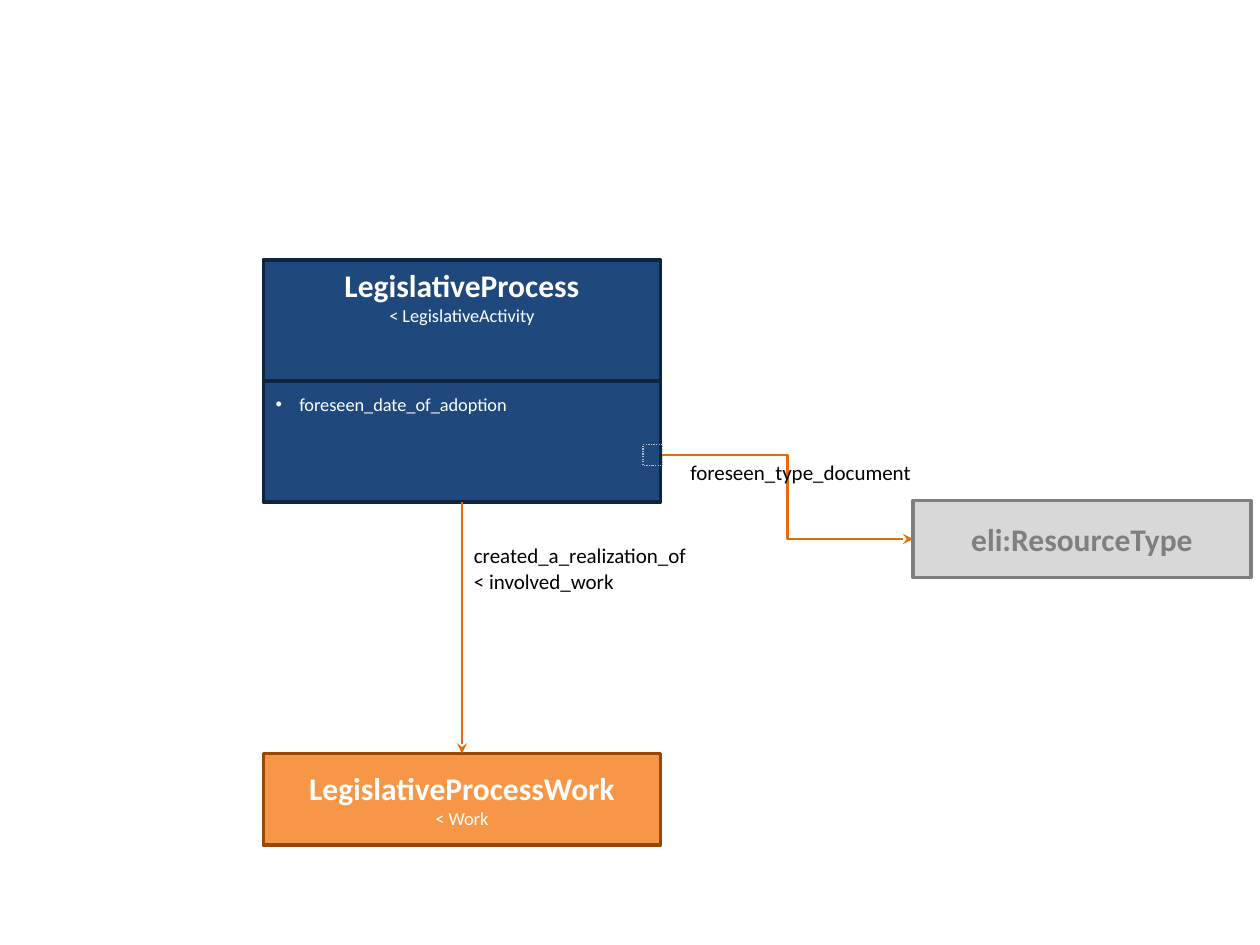
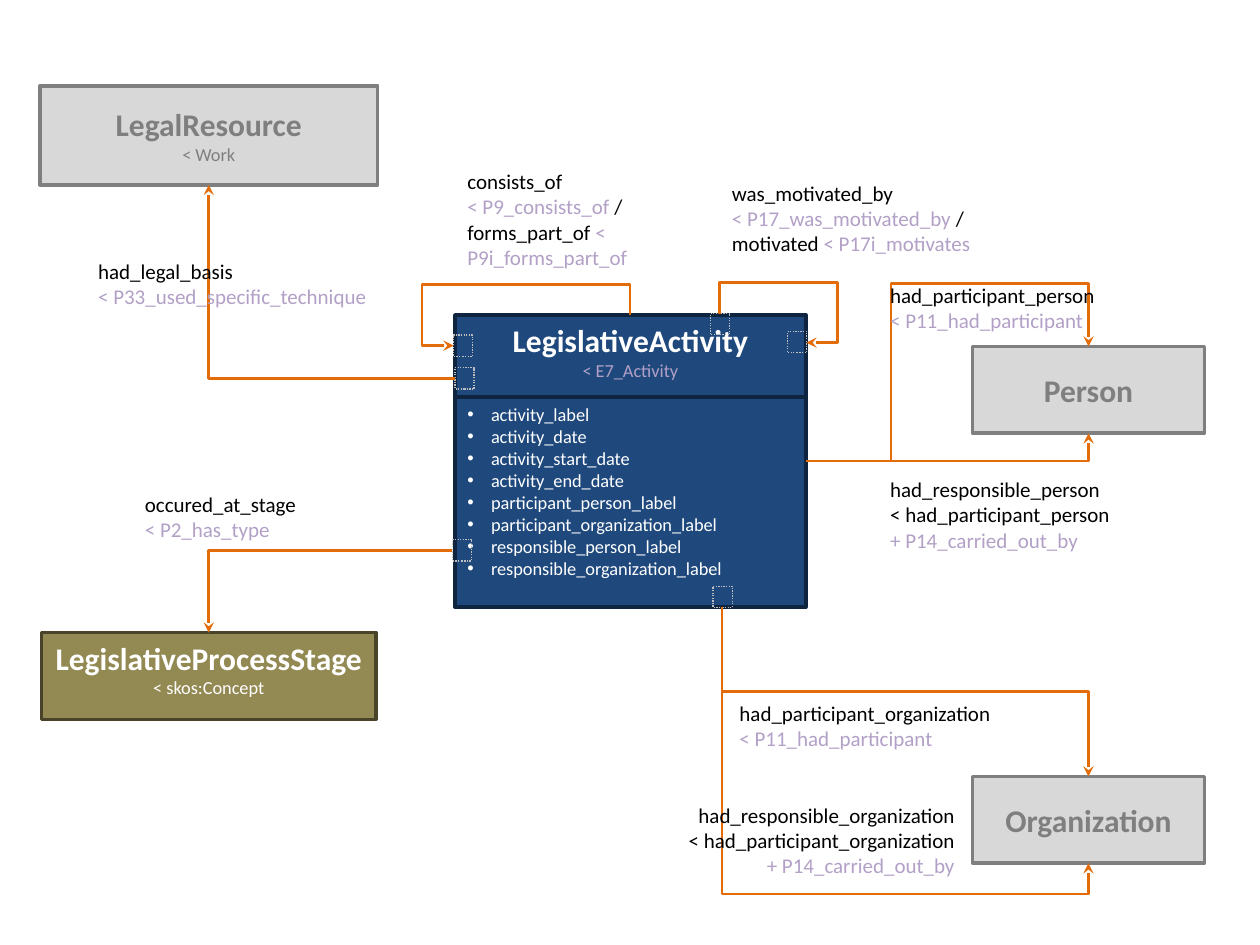
from dataclasses import dataclass
from typing import NamedTuple

from lxml.etree import SubElement
from pptx import Presentation
from pptx.dml.color import RGBColor
from pptx.enum.dml import MSO_LINE
from pptx.enum.shapes import MSO_CONNECTOR as CONNECTOR, MSO_SHAPE as SHAPE
from pptx.enum.text import MSO_ANCHOR as ANCHOR, PP_ALIGN as ALIGN
from pptx.oxml.ns import qn
from pptx.shapes.autoshape import Shape
from pptx.shapes.connector import Connector
from pptx.slide import Slide
from pptx.text.text import TextFrame
from pptx.util import Pt

COLORS = {
    "navy": "1F497D", "navy_line": "0F243E",
    "orange": "F79646", "orange_line": "974806",
    "olive": "938953", "olive_line": "494429",
    "gray": "D8D8D8", "gray_line": "7F7F7F",
    "arrow": "E36C09", "marker": "BFBFBF",
    "lilac": "B2A0C7", "white": "FFFFFF", "black": "000000",
}
FONT = "Calibri"
NAME_SIZE, DETAIL_SIZE, LABEL_SIZE = 18, 10.5, 12
DETAIL_LINE = 12.8
BULLET_INDENT = 13.5
MARKER_SIZE = (11, 12.2)

Point = tuple[float, float]


class Run(NamedTuple):
    text: str
    color: str = "black"


class Area(NamedTuple):
    left: float
    top: float
    width: float
    height: float


@dataclass
class ClassBox:
    name: str
    area: Area
    theme: str
    parent: str = ""
    parent_color: str = "white"
    text_color: str = "white"
    anchor: ANCHOR = ANCHOR.MIDDLE
    attributes: tuple[str, ...] = ()
    blank_lines: int = 0


@dataclass
class Elbow:
    """An arrow with right angles; bends are fractions of its own width and height."""
    start: Point
    end: Point
    bends: tuple[float, ...] = ()
    starts_down: bool = False


@dataclass
class Label:
    area: Area
    lines: tuple[tuple[Run, ...], ...]
    align: ALIGN = ALIGN.LEFT


def rgb(name: str) -> RGBColor:
    return RGBColor.from_string(COLORS[name])


def add_text(frame: TextFrame, runs: tuple[Run, ...], *, size: float, bold: bool = False,
             align: ALIGN = ALIGN.LEFT, bullet: bool = False, space_before: float = 0) -> None:
    """Write one paragraph, filling the frame's empty first one if there is one."""
    first = frame.paragraphs[0]
    paragraph = frame.add_paragraph() if first.runs else first
    if bullet:
        properties = paragraph._p.get_or_add_pPr()
        properties.set("marL", str(Pt(BULLET_INDENT)))
        properties.set("indent", str(-Pt(BULLET_INDENT)))
        SubElement(properties, qn("a:buFont"), typeface="Arial")
        SubElement(properties, qn("a:buChar"), char="•")
    paragraph.alignment = align
    if space_before:
        paragraph.space_before = Pt(space_before)
    for text, color in runs:
        run = paragraph.add_run()
        run.text = text
        run.font.name = FONT
        run.font.size = Pt(size)
        run.font.bold = bold
        run.font.color.rgb = rgb(color)


def add_rectangle(slide: Slide, area: Area, line: str, width: float) -> Shape:
    shape = slide.shapes.add_shape(SHAPE.RECTANGLE, *map(Pt, area))
    shape.shadow.inherit = False
    shape.line.color.rgb = rgb(line)
    shape.line.width = Pt(width)
    return shape


def add_class_box(slide: Slide, box: ClassBox) -> Shape:
    shape = add_rectangle(slide, box.area, f"{box.theme}_line", 2)
    shape.fill.solid()
    shape.fill.fore_color.rgb = rgb(box.theme)
    frame = shape.text_frame
    frame.word_wrap = True
    frame.vertical_anchor = box.anchor
    add_text(frame, (Run(box.name, box.text_color),), size=NAME_SIZE, bold=True,
             align=ALIGN.CENTER)
    if box.parent:
        add_text(frame, (Run(f"< {box.parent}", box.parent_color),), size=DETAIL_SIZE,
                 align=ALIGN.CENTER)
    for index, attribute in enumerate(box.attributes):
        add_text(frame, (Run(attribute, "white"),), size=DETAIL_SIZE, bullet=True,
                 space_before=0 if index else box.blank_lines * DETAIL_LINE)
    return shape


def add_marker(slide: Slide, corner: Point) -> None:
    shape = add_rectangle(slide, Area(*corner, *MARKER_SIZE), "marker", 0.75)
    shape.fill.background()
    shape.line.dash_style = MSO_LINE.ROUND_DOT


def add_line(slide: Slide, kind: CONNECTOR, start: Point, end: Point, *,
             color: str = "arrow", width: float = 1.5, arrow: bool = True) -> Connector:
    connector = slide.shapes.add_connector(kind, *map(Pt, (*start, *end)))
    connector.line.color.rgb = rgb(color)
    connector.line.width = Pt(width)
    if arrow:
        SubElement(connector.line._get_or_add_ln(), qn("a:tailEnd"), type="stealth")
    SubElement(connector._element.spPr, qn("a:effectLst"))
    return connector


def add_divider(slide: Slide, start: Point, end: Point) -> Connector:
    return add_line(slide, CONNECTOR.STRAIGHT, start, end, color="navy_line", width=2,
                    arrow=False)


def add_elbow(slide: Slide, elbow: Elbow) -> None:
    (x1, y1), (x2, y2) = elbow.start, elbow.end
    width, height = abs(x2 - x1), abs(y2 - y1)
    if elbow.starts_down:
        width, height = height, width
        flipped = x2 > x1
        rotation = 270 if flipped else 90
    else:
        flipped = (x2 < x1) != (y2 < y1)
        rotation = 180 if y2 < y1 else 0
    left, top = (x1 + x2 - width) / 2, (y1 + y2 - height) / 2
    begin_x, end_x = (left + width, left) if flipped else (left, left + width)
    connector = add_line(slide, CONNECTOR.ELBOW, (begin_x, top), (end_x, top + height))
    properties = connector._element.spPr
    if rotation:
        properties.find(qn("a:xfrm")).set("rot", str(rotation * 60000))
    geometry = properties.find(qn("a:prstGeom"))
    geometry.set("prst", f"bentConnector{len(elbow.bends) + 2}")
    guides = geometry.find(qn("a:avLst"))
    for number, bend in enumerate(elbow.bends, 1):
        SubElement(guides, qn("a:gd"), name=f"adj{number}", fmla=f"val {round(bend * 100000)}")


def add_label(slide: Slide, label: Label) -> None:
    frame = slide.shapes.add_textbox(*map(Pt, label.area)).text_frame
    frame.word_wrap = True
    for runs in label.lines:
        add_text(frame, runs, size=LABEL_SIZE, align=label.align)


def plain(text: str) -> tuple[Run, ...]:
    return (Run(text),)


def inherited(text: str) -> tuple[Run, ...]:
    return (Run(text, "lilac"),)


def external(name: str, area: Area, parent: str = "") -> ClassBox:
    """A gray class that is defined elsewhere."""
    return ClassBox(name, area, "gray", parent, "gray_line", "gray_line")


def build_process_slide(slide: Slide) -> None:
    process = add_class_box(slide, ClassBox(
        "LegislativeProcess", Area(150.5, 148.5, 227, 138.4), "navy", "LegislativeActivity",
        anchor=ANCHOR.TOP, attributes=("foreseen_date_of_adoption",), blank_lines=3))
    work = add_class_box(slide, ClassBox(
        "LegislativeProcessWork", Area(150.5, 430.5, 227, 52.5), "orange", "Work"))
    add_class_box(slide, external("eli:ResourceType", Area(521.8, 286, 193, 44)))

    divider = add_divider(slide, (150.5, 217.7), (377.5, 217.7))
    divider.begin_connect(process, 1)
    divider.end_connect(process, 3)
    add_marker(slide, (367.5, 254))
    realization = add_line(slide, CONNECTOR.STRAIGHT, (264, 286.9), (264, 430.5))
    realization.begin_connect(process, 2)
    realization.end_connect(work, 0)
    add_elbow(slide, Elbow((378.5, 260), (521.8, 308), (0.5,)))

    add_label(slide, Label(Area(263.7, 306.7, 203, 51),
                           (plain("created_a_realization_of"), plain("< involved_work"))))
    add_label(slide, Label(Area(387.4, 259.2, 151.2, 21.8), (plain("foreseen_type_document"),)))


def build_activity_slide(slide: Slide) -> None:
    boxes = (
        ClassBox("LegislativeActivity", Area(260, 180, 200.5, 167), "navy", "E7_Activity",
                 "lilac", anchor=ANCHOR.TOP, blank_lines=1, attributes=(
                     "activity_label", "activity_date", "activity_start_date",
                     "activity_end_date", "participant_person_label",
                     "participant_organization_label", "responsible_person_label",
                     "responsible_organization_label")),
        ClassBox("LegislativeProcessStage", Area(23.8, 361.5, 191, 49.6), "olive",
                 "skos:Concept", anchor=ANCHOR.TOP),
        external("LegalResource", Area(22.8, 49, 193, 56.6), "Work"),
        external("Person", Area(555.8, 198, 132.5, 49.6)),
        external("Organization", Area(555.8, 443.7, 132.5, 49.6)),
    )
    for box in boxes:
        add_class_box(slide, box)
    add_divider(slide, (260.6, 227), (459.4, 227))

    for corner in ((407.5, 335), (450, 189.4), (259, 191.5), (258.5, 308.4),
                   (260, 210.2), (406, 179.2)):
        add_marker(slide, corner)

    activity_right, activity_bottom = (460.8, 263.5), (412.7, 347)
    elbows = (
        Elbow((360, 180), (259.2, 197.5), (-1, 1.18), True),
        Elbow((411.3, 179.3), (460.8, 195.8), (-1.08, 1.36), True),
        Elbow(activity_right, (622, 198), (0.3, 1.55)),
        Elbow(activity_right, (622, 247.6)),
        Elbow(activity_bottom, (622, 443.7), (0.5,), True),
        Elbow(activity_bottom, (622, 493.3), (1.12,), True),
        Elbow((258.5, 314.5), (119.3, 361.5)),
        Elbow((260, 216.3), (119.3, 105.6)),
    )
    for elbow in elbows:
        add_elbow(slide, elbow)

    labels = (
        Label(Area(260, 92.9, 160.6, 65.5), (
            plain("consists_of"),
            (Run("< P9_consists_of ", "lilac"), Run("/")),
            (Run("forms_part_of "), Run("< P9i_forms_part_of", "lilac")))),
        Label(Area(411.2, 99.5, 160.6, 51), (
            plain("was_motivated_by"),
            (Run("< P17_was_motivated_by ", "lilac"), Run("/")),
            (Run("motivated "), Run("< P17i_motivates", "lilac")))),
        Label(Area(49, 144, 177, 36), (
            plain("had_legal_basis"), inherited("< P33_used_specific_technique"))),
        Label(Area(75.7, 277.4, 108, 36), (
            plain("occured_at_stage"), inherited("< P2_has_type"))),
        Label(Area(501.6, 157.8, 164, 36), (
            plain("had_participant_person"), inherited("< P11_had_participant"))),
        Label(Area(501.6, 268.8, 164, 51), (
            plain("had_responsible_person"), plain("< had_participant_person"),
            inherited("+ P14_carried_out_by"))),
        Label(Area(415.5, 396.8, 164, 36), (
            plain("had_participant_organization"), inherited("< P11_had_participant"))),
        Label(Area(358.3, 455, 194.4, 51), (
            plain("had_responsible_organization"), plain("< had_participant_organization"),
            inherited("+ P14_carried_out_by")), ALIGN.RIGHT),
    )
    for label in labels:
        add_label(slide, label)


def main() -> None:
    presentation = Presentation()
    presentation.slide_width, presentation.slide_height = Pt(720), Pt(540)
    blank_layout = presentation.slide_layouts[6]
    for build in (build_process_slide, build_activity_slide):
        build(presentation.slides.add_slide(blank_layout))
    presentation.save("out.pptx")


if __name__ == "__main__":
    main()
